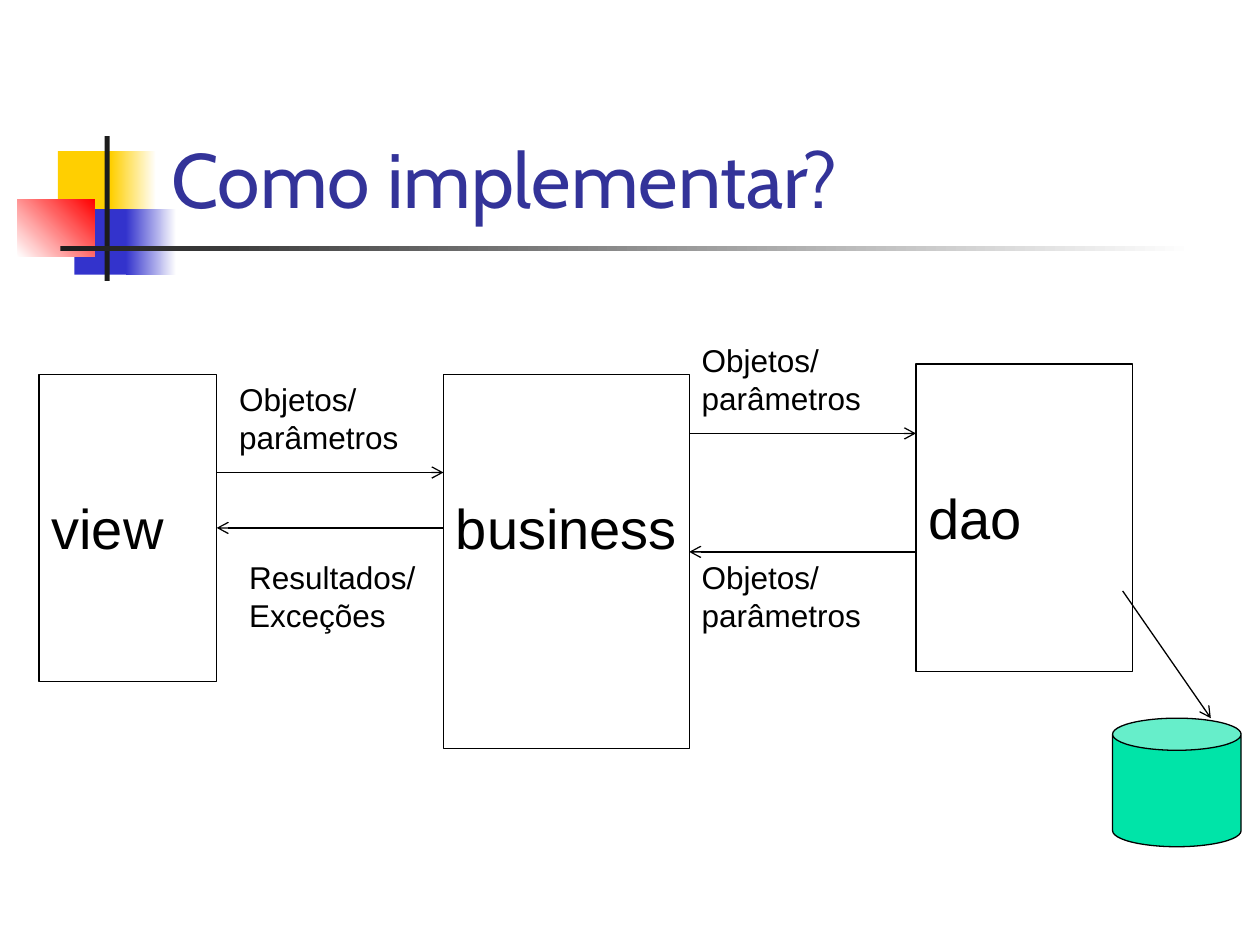
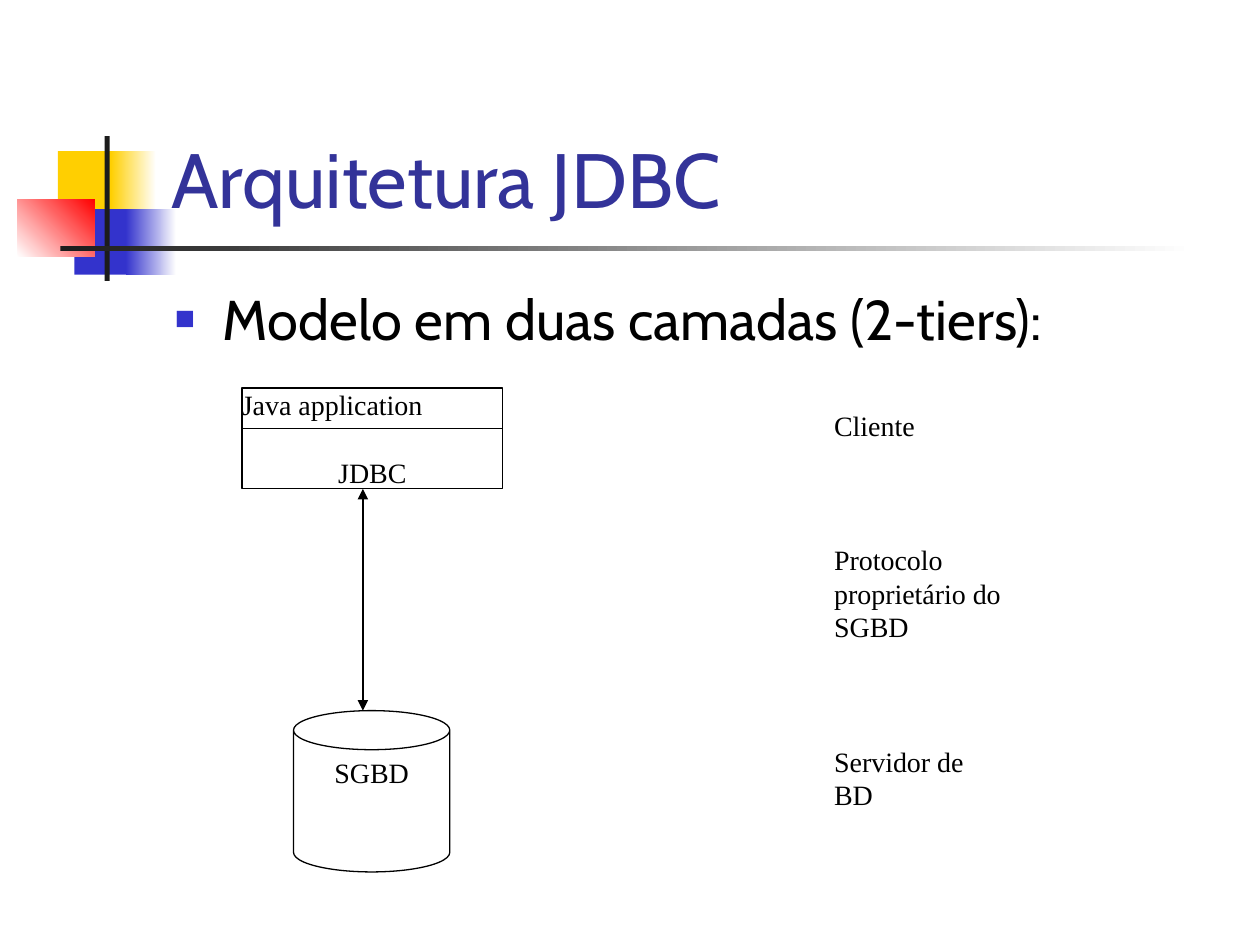
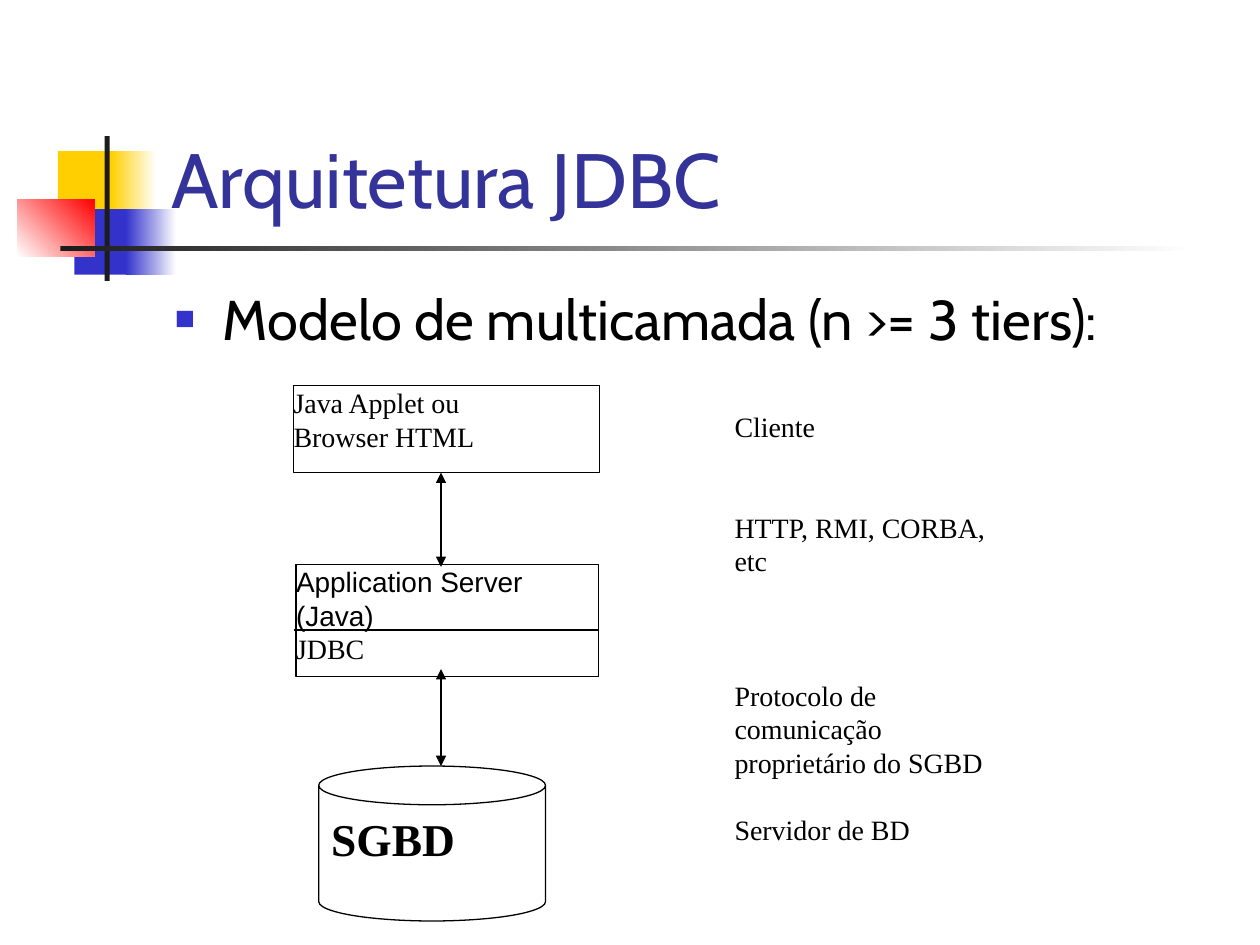
"""Build three slides on layered Java applications and JDBC."""
from lxml.etree import SubElement
from pptx import Presentation
from pptx.dml.color import RGBColor
from pptx.enum.shapes import MSO_CONNECTOR, MSO_SHAPE
from pptx.enum.text import MSO_ANCHOR, MSO_AUTO_SIZE, PP_ALIGN
from pptx.oxml.ns import qn
from pptx.util import Inches, Pt

HUES = {
    "gold": "FFCF01", "blue": "3333CC", "red": "FF0000", "dark": "1C1C1C",
    "title": "333399", "mint": "00E4A8", "black": "000000", "white": "FFFFFF",
}
SANS, SERIF, HEAD = "Arial", "Times New Roman", "Cabin"
LEAD = 1.2
PAD = (0.1, 0.05)

DECOR = [
    ((0.46, 1.2, 0.48, 0.52), ("gold",), 0),
    ((0.88, 1.2, 0.36, 0.52), ("gold", "white"), 0),
    ((0.59, 1.66, 0.46, 0.52), ("blue",), 0),
    ((1, 1.66, 0.4, 0.52), ("blue", "white"), 0),
    ((0.14, 1.58, 0.61, 0.46), ("white", "red"), 45),
    ((0.83, 1.08, 0.04, 1.15), ("dark",), 0),
    ((0.48, 1.95, 9, 0.04), ("dark", "white"), 0),
]

LAYERS = [
    ("view", (0.31, 2.97, 1.41, 2.44)),
    ("business", (3.52, 2.97, 1.95, 2.97)),
    ("dao", (7.27, 2.89, 1.72, 2.44)),
]
STORE = (8.83, 5.7, 1.02, 1.02)
CALLS = [
    ((1.72, 3.75), (3.52, 3.75)),
    ((5.47, 3.44), (7.27, 3.44)),
    ((7.27, 4.38), (5.47, 4.38)),
    ((8.91, 4.69), (9.61, 5.7)),
]
REPLY = ((3.52, 4.19), (1.72, 4.19))
PARAMS = ["Objetos/", "parâmetros"]
LABELS = [
    (PARAMS, (1.8, 2.97, 1.48, 0.7)),
    (["Resultados/", "Exceções"], (1.88, 4.38, 1.64, 0.7)),
    (PARAMS, (5.47, 4.38, 1.48, 0.7)),
    (PARAMS, (5.47, 2.66, 1.48, 0.7)),
]

TIERS = [
    {
        "point": "Modelo em duas camadas (2-tiers):",
        "boxes": [((1.92, 3.08, 2.07, 0.8),
                   [("Java application", 0, SERIF, PP_ALIGN.LEFT),
                    ("JDBC", 1, SERIF, PP_ALIGN.CENTER)])],
        "store": ((2.33, 5.64, 1.24, 1.28), 16, False, PP_ALIGN.CENTER),
        "notes": ((6.62, 3.24, 1.38, 3.67),
                  [("Cliente", 0), ("Protocolo proprietário do SGBD", 3),
                   ("Servidor de BD", 3)]),
        "rule": ((1.92, 3.4), (3.99, 3.4)),
        "links": [((2.88, 3.88), (2.88, 5.64))],
    },
    {
        "point": "Modelo de multicamada (n >= 3 tiers):",
        "boxes": [((2.33, 3.06, 2.43, 0.69),
                   [("Java Applet ou", 0), ("Browser HTML", 0)]),
                  ((2.35, 4.48, 2.4, 0.89),
                   [("Application Server (Java)", 0, SANS), ("JDBC", 0)])],
        "store": ((2.53, 6.08, 1.8, 1.23), 26, True, PP_ALIGN.LEFT),
        "notes": ((5.83, 3.25, 2, 3.58),
                  [("Cliente", 0), ("HTTP, RMI, CORBA, etc", 2),
                   ("Protocolo de comunicação proprietário do SGBD", 3),
                   ("Servidor de BD", 1)]),
        "rule": ((2.33, 5), (4.75, 5)),
        "links": [((3.5, 5.31), (3.5, 6.08)), ((3.5, 3.75), (3.5, 4.5))],
    },
]


def hue(name):
    return RGBColor.from_string(HUES[name])


def inch(nums):
    return [Inches(n) for n in nums]


def style(para, size, font, color="black", bold=False):
    for run in para.runs:
        run.font.size, run.font.name, run.font.bold = Pt(size), font, bold
        run.font.color.rgb = hue(color)


def shape(slide, kind, at, fill=None, edge="black"):
    item = slide.shapes.add_shape(kind, *inch(at))
    item.shadow.inherit = False
    if fill:
        item.fill.solid()
        item.fill.fore_color.rgb = hue(fill)
    else:
        item.fill.background()
    if edge:
        item.line.color.rgb, item.line.width = hue(edge), Pt(0.75)
    else:
        item.line.fill.background()
    return item


def write(item, rows, size, pad=(0, 0), bold=False):
    """Fill a shape with rows of text, gap in lines, font and alignment."""
    frame = item.text_frame
    frame.word_wrap, frame.vertical_anchor = True, MSO_ANCHOR.TOP
    frame.margin_left = frame.margin_right = Inches(pad[0])
    frame.margin_top, frame.margin_bottom = Inches(pad[1]), Inches(min(pad[1], 0.05))
    frame.text = "\n".join(row[0] for row in rows)
    for para, row in zip(frame.paragraphs, rows):
        _, gap, font, side = (*row, *(SERIF, PP_ALIGN.LEFT)[len(row) - 2:])
        para.alignment = side
        para.line_spacing = Pt(size * LEAD)
        para.space_before = Pt(gap * size * LEAD)
        style(para, size, font, bold=bold)


def wire(slide, ends, head=None, tail=None):
    start, stop = ends
    item = slide.shapes.add_connector(MSO_CONNECTOR.STRAIGHT, *inch(start + stop))
    item.line.color.rgb, item.line.width = hue("black"), Pt(0.75)
    props = item.element.spPr
    edge = props.find(qn("a:ln"))
    for tag, tip in (("a:headEnd", head), ("a:tailEnd", tail)):
        if tip:
            SubElement(edge, qn(tag), type=tip)
    SubElement(props, qn("a:effectLst"))
    return item


def adorn(slide):
    """Move the shared corner motif into the layout."""
    tree = slide.slide_layout.shapes.element
    for spot, (at, tones, angle) in enumerate(DECOR):
        item = shape(slide, MSO_SHAPE.RECTANGLE, at, tones[0], None)
        if len(tones) > 1:
            item.fill.gradient()
            item.fill.gradient_angle = angle
            for stop, tone in zip(item.fill.gradient_stops, tones):
                stop.color.rgb = hue(tone)
        tree.insert(2 + spot, item.element)


def start(deck, text):
    slide = deck.slides.add_slide(deck.slide_layouts[5])
    title = slide.shapes.title
    title.left, title.top, title.width, title.height = inch((1.26, 0.23, 8.52, 1.6))
    frame = title.text_frame
    frame.text = text
    frame.vertical_anchor, frame.auto_size = MSO_ANCHOR.BOTTOM, MSO_AUTO_SIZE.NONE
    frame.paragraphs[0].alignment = PP_ALIGN.LEFT
    style(frame.paragraphs[0], 44, HEAD, "title")
    return slide


def bullet(slide, text):
    frame = slide.shapes.add_textbox(*inch((1.29, 2.21, 8.5, 0.88))).text_frame
    frame.word_wrap = True
    frame.text = text
    para = frame.paragraphs[0]
    style(para, 32, HEAD)
    props = para._p.get_or_add_pPr()
    props.set("marL", str(Inches(0.38)))
    props.set("indent", str(-Inches(0.38)))
    tint = SubElement(props, qn("a:buClr"))
    SubElement(tint, qn("a:srgbClr"), val=HUES["blue"])
    SubElement(props, qn("a:buSzPct"), val="60000")
    SubElement(props, qn("a:buFont"), typeface=SANS)
    SubElement(props, qn("a:buChar"), char="■")


def flow(slide):
    boxes = {}
    for name, at in LAYERS:
        boxes[name] = shape(slide, MSO_SHAPE.RECTANGLE, at)
        write(boxes[name], [(name, 0, SANS)], 32, (0.1, 0.95))
        boxes[name].text_frame.margin_right = 0
    shape(slide, MSO_SHAPE.CAN, STORE, "mint")
    for ends in CALLS:
        wire(slide, ends, tail="arrow")
    wire(slide, REPLY, tail="arrow").end_connect(boxes["view"], 3)
    for rows, at in LABELS:
        label = slide.shapes.add_textbox(*inch(at))
        write(label, [(row, 0, SANS) for row in rows], 18, PAD)


def tiers(slide, model):
    bullet(slide, model["point"])
    for at, rows in model["boxes"]:
        write(shape(slide, MSO_SHAPE.RECTANGLE, at, "white"), rows, 16)
    at, size, bold, side = model["store"]
    can = shape(slide, MSO_SHAPE.CAN, at, "white")
    write(can, [("SGBD", 0, SERIF, side)], size, PAD, bold)
    at, rows = model["notes"]
    write(shape(slide, MSO_SHAPE.RECTANGLE, at, "white", "white"), rows, 16)
    wire(slide, model["rule"])
    for ends in model["links"]:
        wire(slide, ends, "triangle", "triangle")


def main():
    deck = Presentation()
    deck.slide_width, deck.slide_height = Inches(10), Inches(7.5)
    first = start(deck, "Como implementar?")
    adorn(first)
    flow(first)
    for model in TIERS:
        tiers(start(deck, "Arquitetura JDBC"), model)
    deck.save("out.pptx")


if __name__ == "__main__":
    main()
